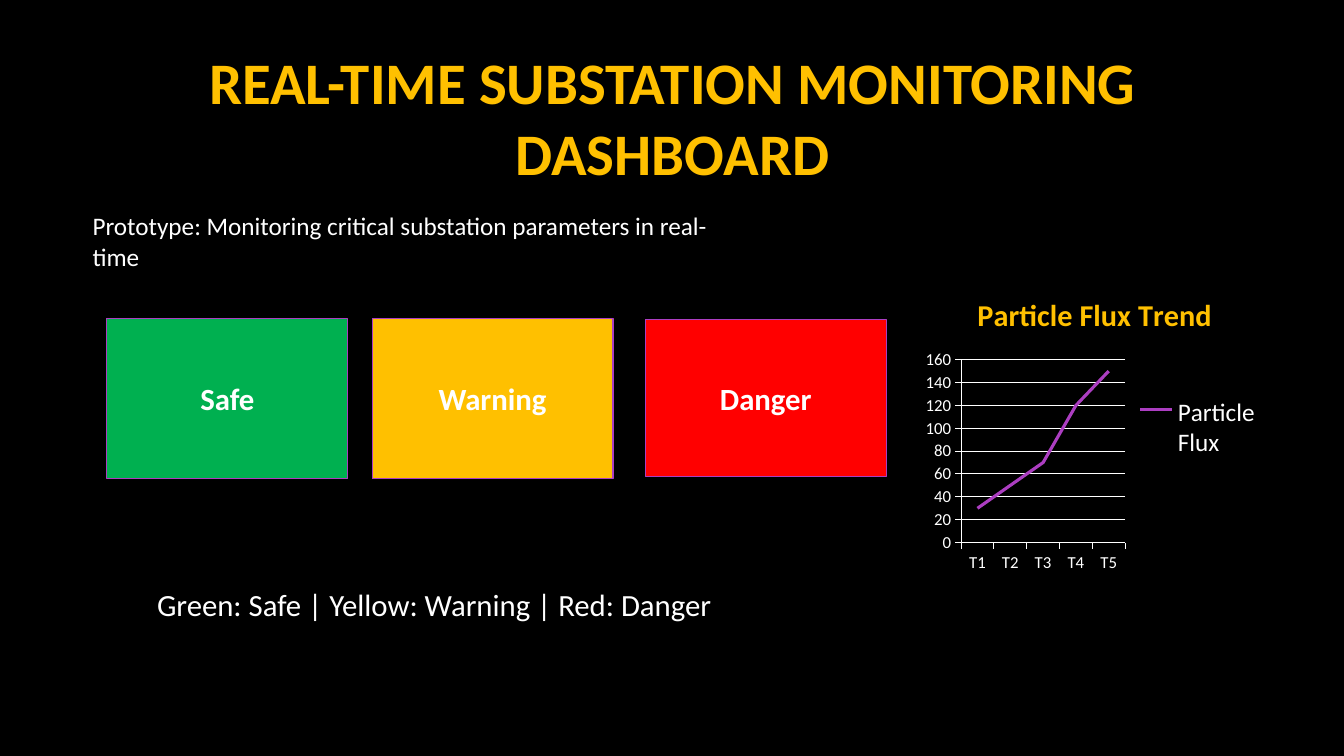
from dataclasses import dataclass
from typing import Any

from pptx import Presentation
from pptx.chart.data import CategoryChartData
from pptx.dml.color import RGBColor
from pptx.enum.chart import XL_CHART_TYPE as ChartType
from pptx.enum.chart import XL_LEGEND_POSITION as LegendPosition
from pptx.enum.chart import XL_MARKER_STYLE as MarkerStyle
from pptx.enum.chart import XL_TICK_MARK as TickMark
from pptx.enum.shapes import MSO_SHAPE as Preset
from pptx.enum.text import MSO_ANCHOR as Anchor
from pptx.enum.text import PP_ALIGN as Align
from pptx.util import Pt

EMU_PER_PX = 9144
COLORS = {
    "black": "000000",
    "white": "FFFFFF",
    "amber": "FFC000",
    "green": "00B050",
    "red": "FF0000",
    "purple": "AC3EC1",
}


@dataclass(frozen=True)
class Area:
    left: int
    top: int
    width: int
    height: int

    def emu(self) -> list[int]:
        return [side * EMU_PER_PX for side in (self.left, self.top, self.width, self.height)]


@dataclass(frozen=True)
class Label:
    text: str
    area: Area
    size: float
    color: str = "white"
    bold: bool = False
    align: Align = Align.LEFT
    anchor: Anchor = Anchor.TOP


@dataclass(frozen=True)
class StatusTile:
    label: Label
    fill: str


def tile(text: str, area: Area, fill: str) -> StatusTile:
    return StatusTile(Label(text, area, 22, "white", True, Align.CENTER, Anchor.MIDDLE), fill)


LABELS = [
    Label("REAL-TIME SUBSTATION MONITORING DASHBOARD", Area(113, 36, 1108, 159),
          42, "amber", True, Align.CENTER, Anchor.MIDDLE),
    Label("Green: Safe | Yellow: Warning | Red: Danger", Area(146, 576, 776, 114), 22),
    Label("Prototype: Monitoring critical substation parameters in real-time",
          Area(82, 204, 660, 71), 18),
]
TILES = [
    tile("Safe", Area(106, 316, 239, 159), "green"),
    tile("Warning", Area(369, 316, 239, 159), "amber"),
    tile("Danger", Area(640, 317, 239, 156), "red"),
]
CHART_AREA = Area(911, 274, 350, 300)
FLUX = {"T1": 30, "T2": 50, "T3": 70, "T4": 120, "T5": 150}


def rgb(name: str) -> RGBColor:
    return RGBColor.from_string(COLORS[name])


def apply(target: Any, values: dict[str, Any]) -> None:
    for name, value in values.items():
        setattr(target, name, value)


def style_font(font: Any, size: float, color: str, bold: bool = False) -> None:
    apply(font, {"name": "Calibri", "size": Pt(size), "bold": bold})
    font.color.rgb = rgb(color)


def style_line(line: Any, color: str, width: float) -> None:
    line.color.rgb = rgb(color)
    line.width = Pt(width)


def write_label(box: Any, label: Label) -> None:
    frame = box.text_frame
    apply(frame, {"word_wrap": True, "vertical_anchor": label.anchor})
    para = frame.paragraphs[0]
    para.alignment = label.align
    span = para.add_run()
    span.text = label.text
    style_font(span.font, label.size, label.color, label.bold)


def draw_tile(page: Any, status: StatusTile) -> None:
    box = page.shapes.add_shape(Preset.RECTANGLE, *status.label.area.emu())
    box.shadow.inherit = False
    box.fill.solid()
    box.fill.fore_color.rgb = rgb(status.fill)
    style_line(box.line, "purple", 0.75)
    write_label(box, status.label)


def draw_chart(page: Any) -> None:
    data = CategoryChartData()
    data.categories = list(FLUX)
    data.add_series("Particle Flux", list(FLUX.values()))
    chart = page.shapes.add_chart(ChartType.LINE, *CHART_AREA.emu(), data).chart
    style_font(chart.font, 18, "white")
    apply(chart, {"has_title": True, "has_legend": True})

    title = chart.chart_title.text_frame
    title.text = "Particle Flux Trend"
    style_font(title.paragraphs[0].runs[0].font, 21.6, "amber", True)

    apply(chart.legend, {"position": LegendPosition.RIGHT, "include_in_layout": False})
    style_font(chart.legend.font, 18, "white")

    for axis in (chart.category_axis, chart.value_axis):
        apply(axis, {"major_tick_mark": TickMark.OUTSIDE, "minor_tick_mark": TickMark.NONE})
        style_font(axis.tick_labels.font, 12, "white")
        style_line(axis.format.line, "white", 0.75)
    chart.value_axis.has_major_gridlines = True
    style_line(chart.value_axis.major_gridlines.format.line, "white", 0.75)

    plot = chart.plots[0]
    plot.vary_by_categories = False
    series = plot.series[0]
    series.smooth = False
    series.marker.style = MarkerStyle.NONE
    style_line(series.format.line, "purple", 2.25)


def main() -> None:
    deck = Presentation()
    apply(deck, {"slide_width": 1333 * EMU_PER_PX, "slide_height": 750 * EMU_PER_PX})
    page = deck.slides.add_slide(deck.slide_layouts[6])
    page.background.fill.solid()
    page.background.fill.fore_color.rgb = rgb("black")
    draw_chart(page)
    for status in TILES:
        draw_tile(page, status)
    for label in LABELS:
        write_label(page.shapes.add_textbox(*label.area.emu()), label)
    deck.save("out.pptx")


if __name__ == "__main__":
    main()
